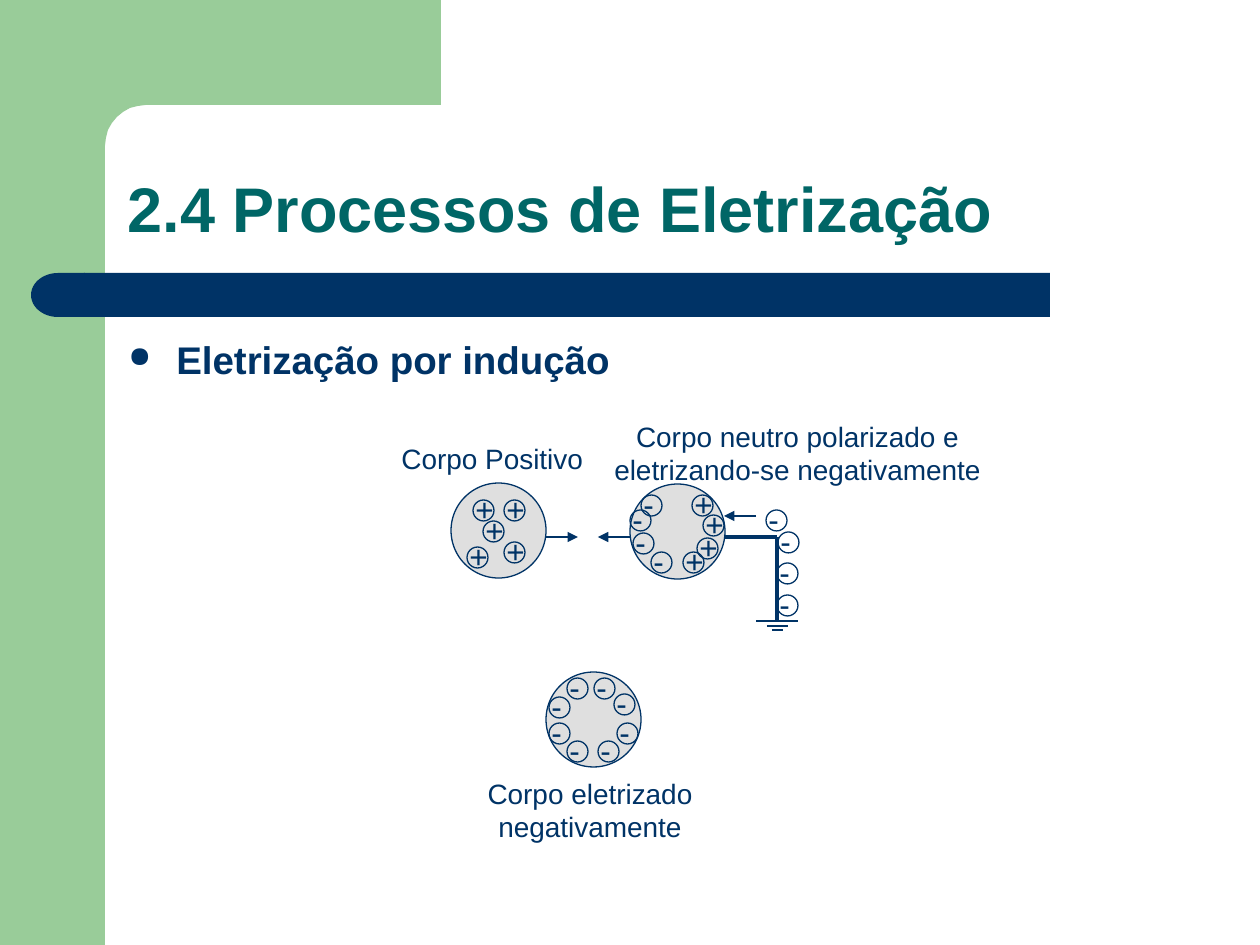
"""Build the slide on charging by induction."""
from dataclasses import dataclass
from math import cos, pi, sin

from lxml import etree
from pptx import Presentation
from pptx.dml.color import RGBColor
from pptx.enum.shapes import MSO_CONNECTOR, MSO_SHAPE
from pptx.enum.text import MSO_ANCHOR, MSO_AUTO_SIZE, PP_ALIGN
from pptx.oxml.ns import qn
from pptx.util import Pt

RECTANGLE, OVAL, DELAY = MSO_SHAPE.RECTANGLE, MSO_SHAPE.OVAL, MSO_SHAPE.FLOWCHART_DELAY
STRAIGHT = MSO_CONNECTOR.STRAIGHT
BOTTOM = MSO_ANCHOR.BOTTOM
NO_FIT = MSO_AUTO_SIZE.NONE
LEFT, CENTER = PP_ALIGN.LEFT, PP_ALIGN.CENTER


@dataclass(frozen=True)
class Theme:
    font: str = "Arial"
    green: RGBColor = RGBColor(0x99, 0xCC, 0x99)
    teal: RGBColor = RGBColor(0x00, 0x66, 0x66)
    navy: RGBColor = RGBColor(0x00, 0x33, 0x66)
    gray: RGBColor = RGBColor(0xC0, 0xC0, 0xC0)
    title: int = 36
    topic: int = 22
    sign: int = 18
    label: int = 16
    thin: float = 0.75
    thick: float = 2


theme = Theme()


def px(*lengths):
    return [length * 914400 // 126 for length in lengths]


def write(box, text, size, color=theme.navy, bold=False, align=LEFT, wrap=True):
    frame = box.text_frame
    frame.word_wrap = wrap
    frame.auto_size = NO_FIT
    para = frame.paragraphs[0]
    para.alignment = align
    span = para.add_run()
    span.text = text
    span.font.name = theme.font
    span.font.size = Pt(size)
    span.font.bold = bold
    span.font.color.rgb = color
    return para


deck = Presentation()
deck.slide_width, deck.slide_height = px(1260, 945)
page = deck.slides.add_slide(deck.slide_layouts[5])
shapes = page.shapes

side_band = shapes.add_shape(RECTANGLE, *px(0, 0, 105, 945))
radius = 41
arc = [
    (105 + radius - round(radius * sin(step * pi / 16)),
     105 + radius - round(radius * cos(step * pi / 16)))
    for step in range(9)
]
outline = [(441, 105), *arc, (105, 161), (63, 161), (63, 0)]
builder = shapes.build_freeform(*px(441, 0), scale=1.0)
builder.add_line_segments([px(*point) for point in outline], close=True)
corner = builder.convert_to_shape()
bar = shapes.add_shape(RECTANGLE, *px(84, 273, 966, 44))
bar_end = shapes.add_shape(DELAY, *px(31, 273, 54, 44))
bar_end.rotation = 180
for part, color in ((side_band, theme.green), (corner, theme.green),
                    (bar, theme.navy), (bar_end, theme.navy)):
    part.shadow.inherit = False
    part.fill.solid()
    part.fill.fore_color.rgb = color
    part.line.fill.background()

title = shapes.title
title.left, title.top, title.width, title.height = px(115, 115, 1072, 137)
title.text_frame.vertical_anchor = BOTTOM
para = write(title, "2.4 Processos de Eletrização", theme.title, theme.teal, True)
para.line_spacing = 0.9

topic = shapes.add_textbox(*px(116, 325, 1144, 73))
topic.text_frame.margin_top = px(11)[0]
para = write(topic, "Eletrização por indução", theme.topic, bold=True)
properties = para._p.get_or_add_pPr()
indent = px(48)[0]
properties.set("marL", str(indent))
properties.set("indent", str(-indent))
etree.SubElement(properties, qn("a:buSzPct"), val="75000")
etree.SubElement(properties, qn("a:buChar"), char="●")

for left, top in ((451, 483), (630, 484), (546, 672)):
    body = shapes.add_shape(OVAL, *px(left, top, 95, 95))
    body.shadow.inherit = False
    body.fill.solid()
    body.fill.fore_color.rgb = theme.gray
    tint = body.fill._xPr.find(qn("a:solidFill"))[0]
    etree.SubElement(tint, qn("a:alpha"), val="50000")
    body.line.color.rgb = theme.navy
    body.line.width = Pt(theme.thin)

charges = {
    "+": [(473, 500), (504, 500), (504, 542), (467, 547), (483, 521),
          (692, 495), (697, 538), (683, 552), (703, 515)],
    "-": [(651, 552), (630, 510), (633, 533), (641, 495),
          (777, 595), (777, 563), (778, 532), (766, 510),
          (567, 741), (549, 697), (549, 723), (567, 678),
          (594, 678), (598, 741), (617, 723), (614, 694)],
}
for sign, places in charges.items():
    for left, top in places:
        charge = shapes.add_group_shape()
        ring = charge.shapes.add_shape(OVAL, *px(left, top, 21, 21))
        ring.shadow.inherit = False
        ring.fill.background()
        ring.line.color.rgb = theme.navy
        ring.line.width = Pt(theme.thin)
        box = charge.shapes.add_textbox(*px(left - 10, top - 16, 32, 50))
        write(box, sign, theme.sign)

lines = [
    (546, 537, 578, 537, theme.thin, True),
    (630, 537, 598, 537, theme.thin, True),
    (756, 516, 724, 516, theme.thin, True),
    (724, 537, 777, 537, theme.thick, False),
    (777, 537, 777, 621, theme.thick, False),
    (756, 621, 798, 621, theme.thin, False),
    (767, 626, 788, 626, theme.thin, False),
    (772, 630, 783, 630, theme.thin, False),
]
for *ends, width, arrow in lines:
    line = shapes.add_connector(STRAIGHT, *px(*ends))
    line.line.color.rgb = theme.navy
    line.line.width = Pt(width)
    if arrow:
        etree.SubElement(line.line._get_or_add_ln(), qn("a:tailEnd"), type="triangle")
    etree.SubElement(line._element.spPr, qn("a:effectLst"))

labels = [
    ("Corpo Positivo", (389, 435, 207, 47), LEFT, False),
    ("Corpo neutro polarizado e eletrizando-se negativamente",
     (598, 413, 399, 81), CENTER, True),
    ("Corpo eletrizado negativamente", (471, 770, 238, 81), CENTER, True),
]
for text, place, align, wrap in labels:
    box = shapes.add_textbox(*px(*place))
    write(box, text, theme.label, align=align, wrap=wrap)

deck.save("out.pptx")
